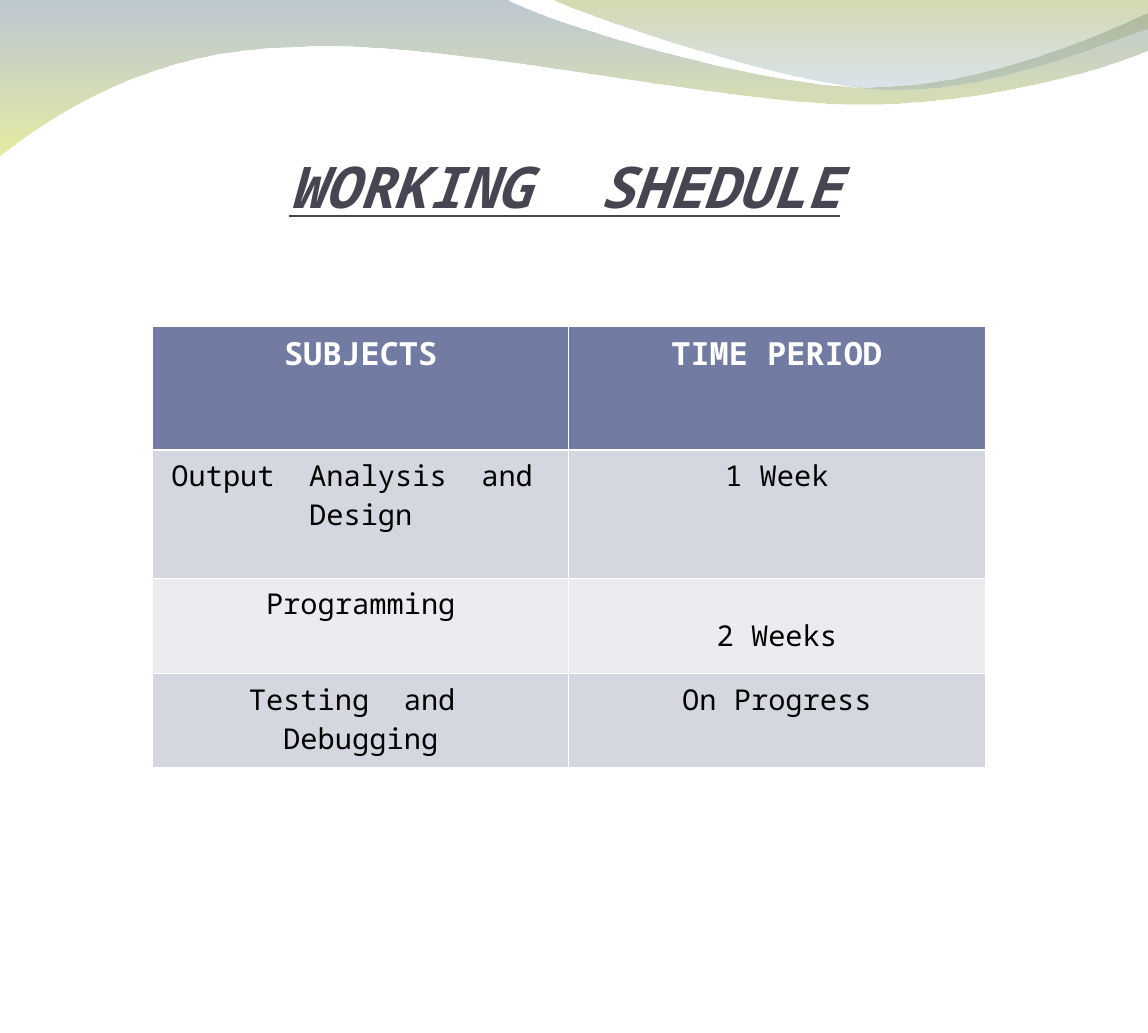
from dataclasses import dataclass
from typing import Any

import lxml.etree
import pptx
import pptx.dml.color
import pptx.enum.text
import pptx.oxml.ns
import pptx.util

Point = tuple[float, float]
qn = pptx.oxml.ns.qn


@dataclass(frozen=True)
class Theme:
    font: str = "Noto Sans Mono"
    title: str = "464653"
    header: str = "727CA3"
    odd_row: str = "D5D7E0"
    even_row: str = "EBECF0"
    white: str = "FFFFFF"
    black: str = "000000"
    title_size: float = 36
    header_size: float = 20
    body_size: float = 18
    thin_rule: float = 0.45
    thick_rule: float = 1.47


@dataclass(frozen=True)
class Stop:
    color: str
    opacity: int  # percent


@dataclass(frozen=True)
class Wave:
    start: Point
    segments: list[tuple[Point, ...]]  # one point: line, three points: cubic curve
    stops: tuple[Stop, Stop]


@dataclass(frozen=True)
class Task:
    subject: str
    period: str
    height: float
    period_drop: float = 0.05


THEME = Theme()
COLUMNS, ROWS = 10, 9

# Slide-wide grid
deck = pptx.Presentation()
deck.slide_width = pptx.util.Inches(10)
deck.slide_height = pptx.util.Inches(9)


def across(columns: float) -> int:
    return round(deck.slide_width * columns / COLUMNS)


def down(rows: float) -> int:
    return round(deck.slide_height * rows / ROWS)


WAVES = [
    Wave((0, 0), [
        ((4.4, -0.01),),
        ((4.76, 0.2), (6.64, 0.76), (7.58, 0.76)),
        ((8.53, 0.76), (9.58, 0.31), (10, 0.11)),
        ((10.01, 0.43),),
        ((9.83, 0.53), (8.7, 0.91), (7.46, 0.91)),
        ((6.22, 0.9), (3.82, 0.33), (2.57, 0.41)),
        ((1.29, 0.43), (0.46, 1), (-0.01, 1.36)),
    ], (Stop("70879A", 45), Stop("D2DD56", 55))),
    Wave((4.79, -0.01), [
        ((5.09, 0.13), (6.82, 0.74), (7.69, 0.78)),
        ((8.56, 0.83), (9.61, 0.38), (10, 0.25)),
        ((10, 0),),
    ], (Stop("A3AB4D", 45), Stop("83A2BC", 30))),
]

HEADINGS = Task("SUBJECTS", "TIME PERIOD", 1.08)
TASKS = [
    Task("Output  Analysis  and  Design", "1 Week", 1.12),
    Task("Programming", "2 Weeks", 0.83, period_drop=0.33),
    Task("Testing  and  Debugging", "On Progress", 0.82),
]


def rgb(color: str) -> pptx.dml.color.RGBColor:
    return pptx.dml.color.RGBColor.from_string(color)


def write(frame: Any, text: str, *, size: float, color: str, bold: bool = False,
          italic: bool = False, underline: bool = False) -> None:
    paragraph = frame.paragraphs[0]
    paragraph.alignment = pptx.enum.text.PP_ALIGN.CENTER
    run = paragraph.add_run()
    run.text = text
    run.font.name = THEME.font
    run.font.size = pptx.util.Pt(size)
    run.font.color.rgb = rgb(color)
    run.font.bold, run.font.italic, run.font.underline = bold, italic, underline


def bend(shape: Any, segments: list[tuple[Point, ...]]) -> None:
    """Join each three straight steps of a curved segment into one cubic curve."""
    steps = iter(list(shape.element.iter(qn("a:lnTo"))))
    for segment in segments:
        group = [next(steps) for _ in segment]
        if len(group) == 3:
            curve = lxml.etree.Element(qn("a:cubicBezTo"))
            group[0].addprevious(curve)
            for step in group:
                curve.append(step[0])
                step.getparent().remove(step)


def draw_wave(slide: Any, wave: Wave) -> None:
    points = [(across(x), down(y)) for segment in wave.segments for x, y in segment]
    builder = slide.shapes.build_freeform(across(wave.start[0]), down(wave.start[1]))
    shape = builder.add_line_segments(points, close=True).convert_to_shape()
    bend(shape, wave.segments)
    shape.shadow.inherit = False
    shape.line.fill.background()
    shape.fill.gradient()
    shape.fill.gradient_angle = 270
    for gradient_stop, stop in zip(shape.fill.gradient_stops, wave.stops):
        gradient_stop.color.rgb = rgb(stop.color)
    for tint, stop in zip(shape.element.iter(qn("a:srgbClr")), wave.stops):
        lxml.etree.SubElement(tint, qn("a:alpha"), val=str(stop.opacity * 1000))


def rule_cell(cell: Any, top: float, bottom: float) -> None:
    properties = cell._tc.get_or_add_tcPr()
    widths = {"L": THEME.thin_rule, "R": THEME.thin_rule, "T": top, "B": bottom}
    for side, width in widths.items():
        line = lxml.etree.SubElement(properties, qn(f"a:ln{side}"),
                                     w=str(pptx.util.Pt(width)))
        solid = lxml.etree.SubElement(line, qn("a:solidFill"))
        lxml.etree.SubElement(solid, qn("a:srgbClr"), val=THEME.white)


def draw_schedule(slide: Any) -> None:
    lines = [HEADINGS, *TASKS]
    schedule = slide.shapes.add_table(
        len(lines), 2, across(1.33), down(2.84), across(7.25),
        down(sum(line.height for line in lines))).table
    for column in schedule.columns:
        column.width = across(7.25 / 2)
    for index, line in enumerate(lines):
        schedule.rows[index].height = down(line.height)
        heading = index == 0
        fill = THEME.header if heading else THEME.odd_row if index % 2 else THEME.even_row
        top = THEME.thick_rule if index == 1 else THEME.thin_rule
        bottom = THEME.thick_rule if heading else THEME.thin_rule
        for cell, text in zip(schedule.rows[index].cells, (line.subject, line.period)):
            rule_cell(cell, top, bottom)
            cell.fill.solid()
            cell.fill.fore_color.rgb = rgb(fill)
            write(cell.text_frame, text, bold=heading,
                  size=THEME.header_size if heading else THEME.body_size,
                  color=THEME.white if heading else THEME.black)
        schedule.cell(index, 1).margin_top = down(line.period_drop)


def draw_title(slide: Any) -> None:
    title = slide.shapes.title
    title.left, title.top = across(0.42), down(0.84)
    title.width, title.height = across(9), down(1.08)
    frame = title.text_frame
    frame.auto_size = pptx.enum.text.MSO_AUTO_SIZE.NONE
    frame.vertical_anchor = pptx.enum.text.MSO_ANCHOR.BOTTOM
    frame.margin_left = frame.margin_right = frame.margin_bottom = 0
    frame.margin_top = down(0.05)
    write(frame, "WORKING  SHEDULE", size=THEME.title_size, color=THEME.title,
          bold=True, italic=True, underline=True)
    # Bring the title in front of the waves
    slide.shapes.element.append(title.element)


def main() -> None:
    slide = deck.slides.add_slide(deck.slide_layouts[5])
    # Waves along the top edge
    for wave in WAVES:
        draw_wave(slide, wave)
    # Title and timetable
    draw_title(slide)
    draw_schedule(slide)
    deck.save("out.pptx")


if __name__ == "__main__":
    main()
